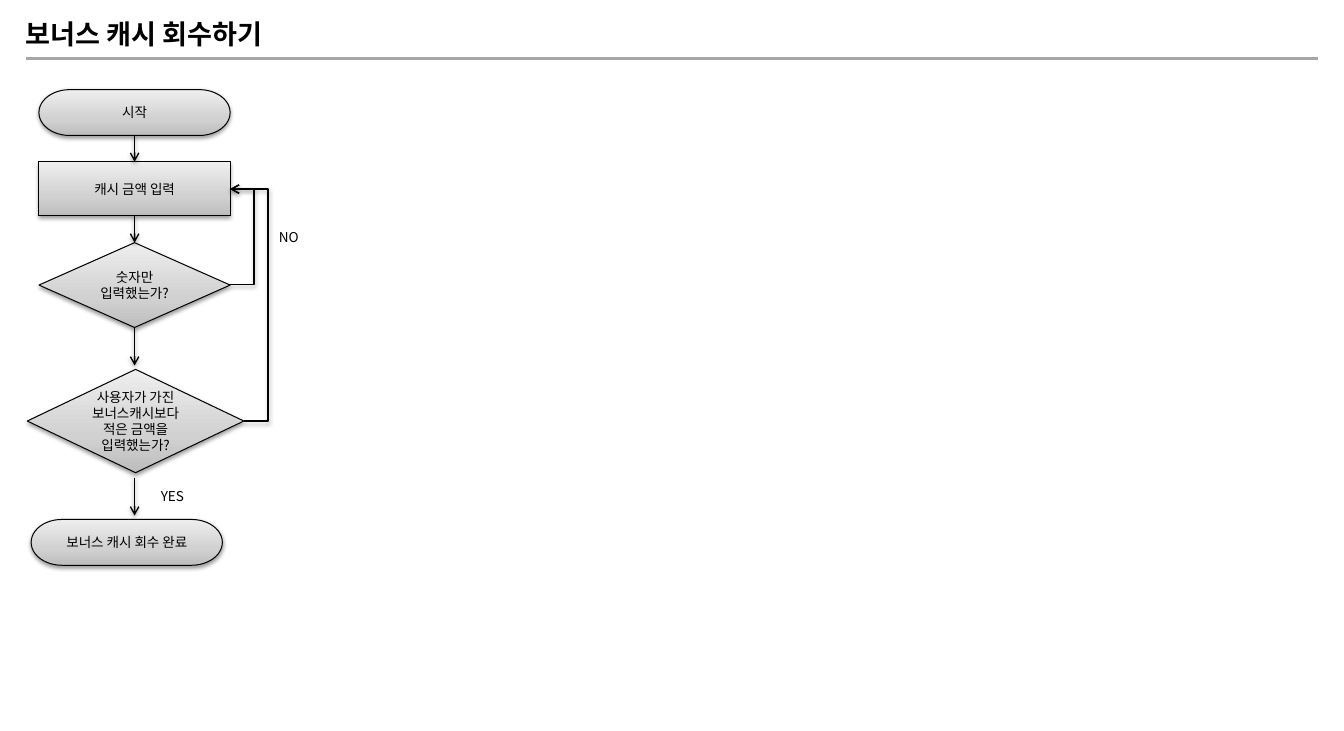
from copy import deepcopy

from lxml.etree import SubElement
from pptx import Presentation
from pptx.dml.color import RGBColor
from pptx.enum.shapes import MSO_CONNECTOR as Link, MSO_SHAPE as Shape
from pptx.enum.text import MSO_ANCHOR as Anchor, MSO_AUTO_SIZE as AutoSize, PP_ALIGN as Align
from pptx.oxml.ns import qn
from pptx.util import Pt

EMU_PER_PX = 9144  # 100 px to the inch
FONT = "Noto Sans CJK KR"
BLACK = RGBColor(0x00, 0x00, 0x00)
RULE_GRAY = RGBColor(0xA6, 0xA6, 0xA6)
GRADIENT = [
    (0, RGBColor(0xBD, 0xBD, 0xBD)),
    (0.35, RGBColor(0xD1, 0xD1, 0xD1)),
    (1, RGBColor(0xEE, 0xEE, 0xEE)),
]


def px(*lengths):
    return [length * EMU_PER_PX for length in lengths]


class FlowSlide:
    def __init__(self, slide):
        self.shapes = slide.shapes

    def set_text(self, frame, text, size=10, bold=False, align=Align.LEFT):
        paragraph = frame.paragraphs[0]
        paragraph.text = text
        paragraph.alignment = align
        font = paragraph.font
        font.size, font.bold, font.name = Pt(size), bold, FONT
        font.color.rgb = BLACK
        SubElement(font._element, qn("a:ea"), typeface=FONT)

    def shade(self, effects):
        shadow = SubElement(effects, qn("a:outerShdw"), blurRad="40000", dist="20000",
                            dir="5400000", rotWithShape="0")
        color = SubElement(shadow, qn("a:srgbClr"), val=str(BLACK))
        SubElement(color, qn("a:alpha"), val="38000")

    def title(self, text, *box):
        frame = self.shapes.add_textbox(*px(*box)).text_frame
        frame.word_wrap = False
        frame.auto_size = AutoSize.SHAPE_TO_FIT_TEXT
        self.set_text(frame, text, size=20, bold=True)

    def label(self, text, *box):
        frame = self.shapes.add_textbox(*px(*box)).text_frame
        frame.word_wrap = True
        frame.vertical_anchor = Anchor.MIDDLE
        self.set_text(frame, text)

    def step(self, kind, text, *box):
        node = self.shapes.add_shape(kind, *px(*box))
        node.fill.gradient()
        node.fill.gradient_angle = 90
        stops = node._element.spPr.find(".//" + qn("a:gsLst"))
        stops.insert(1, deepcopy(stops[0]))
        for stop, (position, color) in zip(node.fill.gradient_stops, GRADIENT):
            stop.position = position
            stop.color.rgb = color
        node.line.color.rgb = BLACK
        node.line.width = Pt(0.75)
        node.shadow.inherit = False
        self.shade(node._element.spPr.find(qn("a:effectLst")))
        node.text_frame.word_wrap = True
        node.text_frame.vertical_anchor = Anchor.MIDDLE
        self.set_text(node.text_frame, text, align=Align.CENTER)

    def line(self, start, end, color, width, kind=Link.STRAIGHT):
        line = self.shapes.add_connector(kind, *px(*start, *end))
        line.line.color.rgb = color
        line.line.width = Pt(width)
        return line, SubElement(line._element.spPr, qn("a:effectLst"))

    def arrow(self, start, end, kind=Link.STRAIGHT):
        arrow, effects = self.line(start, end, BLACK, 1, kind)
        stroke = arrow._element.spPr.find(qn("a:ln"))
        SubElement(stroke, qn("a:tailEnd"), type="arrow")
        self.shade(effects)
        return arrow

    def loop_back(self, start, end, lane):
        """Elbow arrow whose upright part runs at x = lane."""
        arrow = self.arrow(start, end, Link.ELBOW)
        bend = round(100000 * (lane - start[0]) / (end[0] - start[0]))
        geometry = arrow._element.spPr.find(qn("a:prstGeom"))
        guides = geometry.find(qn("a:avLst"))
        if guides is None:
            guides = SubElement(geometry, qn("a:avLst"))
        SubElement(guides, qn("a:gd"), name="adj1", fmla=f"val {bend}")


def main():
    deck = Presentation()
    deck.slide_width, deck.slide_height = px(1378, 750)
    flow = FlowSlide(deck.slides.add_slide(deck.slide_layouts[6]))

    # Heading
    flow.line((27, 60), (1351, 60), RULE_GRAY, 2)
    flow.title("보너스 캐시 회수하기", 16, 13, 292, 44)

    # Steps
    flow.step(Shape.FLOWCHART_TERMINATOR, "시작", 40, 92, 196, 47)
    flow.step(Shape.RECTANGLE, "캐시 금액 입력", 40, 166, 196, 55)
    flow.step(Shape.FLOWCHART_DECISION, "숫자만 입력했는가?", 40, 249, 196, 87)
    flow.step(Shape.FLOWCHART_DECISION, "사용자가 가진 보너스캐시보다 적은 금액을 입력했는가?",
              28, 379, 222, 106)
    flow.step(Shape.FLOWCHART_TERMINATOR, "보너스 캐시 회수 완료", 32, 533, 196, 47)

    # Downward flow
    for top, bottom in [(139, 166), (221, 249), (336, 375), (490, 529)]:
        flow.arrow((138, top), (138, bottom))

    # Returns to the input step
    flow.loop_back((235, 292), (236, 194), lane=261)
    flow.loop_back((250, 432), (236, 194), lane=275)

    # Branch labels
    flow.label("YES", 155, 499, 59, 20)
    flow.label("NO", 276, 233, 59, 20)

    deck.save("out.pptx")


if __name__ == "__main__":
    main()
